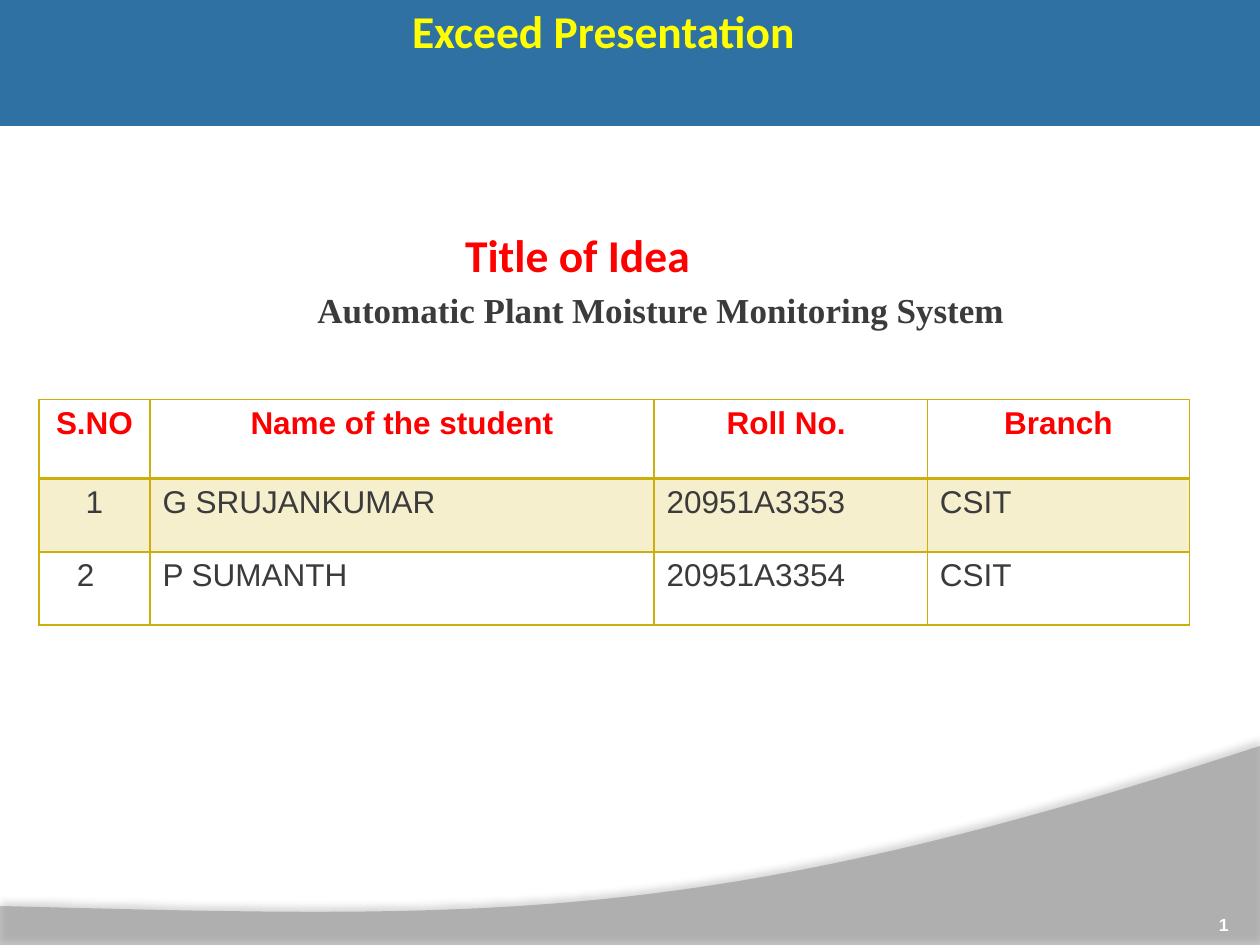
import pptx
import pptx.util
import pptx.dml.color
import pptx.enum.shapes
import pptx.enum.text
import pptx.oxml

Inches = pptx.util.Inches
Pt = pptx.util.Pt
Align = pptx.enum.text.PP_ALIGN
Anchor = pptx.enum.text.MSO_ANCHOR
NAMESPACE = 'xmlns:a="http://schemas.openxmlformats.org/drawingml/2006/main"'
RED, GOLD, DARK, WHITE = "FF0000", "CCAF0A", "3B3B3B", "FFFFFF"


def color(value):
    return pptx.dml.color.RGBColor.from_string(value)


def element(xml):
    return pptx.oxml.parse_xml(xml.replace(">", f" {NAMESPACE}>", 1))


class SlideBuilder:
    def __init__(self, slide):
        self.slide = slide

    def fill(self, shape, value):
        shape.shadow.inherit = False
        shape.fill.solid()
        shape.fill.fore_color.rgb = color(value)
        shape.line.fill.background()

    def style(self, paragraph, size, font, value, bold, align):
        paragraph.alignment = align
        paragraph.font.size = Pt(size)
        paragraph.font.name = font
        paragraph.font.color.rgb = color(value)
        paragraph.font.bold = bold

    def rectangle(self, left, top, width, height, value):
        kind = pptx.enum.shapes.MSO_SHAPE.RECTANGLE
        shape = self.slide.shapes.add_shape(
            kind, Inches(left), Inches(top), Inches(width), Inches(height))
        self.fill(shape, value)

    def wave(self, corners, curve, value, opacity, steps=60):
        points = list(corners)
        for step in range(1, steps + 1):
            t = step / steps
            weights = ((1 - t) ** 3, 3 * t * (1 - t) ** 2, 3 * t * t * (1 - t), t ** 3)
            points.append(tuple(
                sum(weight * point[axis] for weight, point in zip(weights, curve))
                for axis in (0, 1)))
        points = [(Inches(x), Inches(y)) for x, y in points]
        builder = self.slide.shapes.build_freeform(*points[0])
        builder.add_line_segments(points[1:], close=True)
        shape = builder.convert_to_shape()
        self.fill(shape, value)
        properties = shape._element.spPr
        properties.find(".//{*}srgbClr").append(
            element(f'<a:alpha val="{opacity * 1000}"></a:alpha>'))
        properties.find("{*}effectLst").append(element(
            f'<a:outerShdw blurRad="{Pt(4)}" dist="{Pt(3.5)}" dir="16200000">'
            '<a:srgbClr val="000000"><a:alpha val="35000"/></a:srgbClr></a:outerShdw>'))

    def set_text(self, shape, text, size, font, value, align, anchor=Anchor.TOP, wrap=True):
        frame = shape.text_frame
        frame.text = text
        frame.word_wrap = wrap
        frame.vertical_anchor = anchor
        self.style(frame.paragraphs[0], size, font, value, True, align)

    def title(self, left, top, width, height, *text_style):
        shape = self.slide.shapes.title
        shape.left, shape.top = Inches(left), Inches(top)
        shape.width, shape.height = Inches(width), Inches(height)
        self.set_text(shape, *text_style)

    def text(self, left, top, width, height, *text_style, margin=None, **options):
        shape = self.slide.shapes.add_textbox(
            Inches(left), Inches(top), Inches(width), Inches(height))
        if margin is not None:
            frame = shape.text_frame
            frame.margin_left = frame.margin_right = Inches(margin)
            frame.margin_top = frame.margin_bottom = Inches(margin)
        self.set_text(shape, *text_style, **options)

    def border(self, cell, heavy_sides):
        properties = cell._tc.get_or_add_tcPr()
        for index, side in enumerate("LRTB"):
            width = Pt(2 if side in heavy_sides else 1)
            properties.insert(index, element(
                f'<a:ln{side} w="{width}"><a:solidFill><a:srgbClr val="{GOLD}"/>'
                f'</a:solidFill></a:ln{side}>'))

    def table(self, left, top, widths, heights, rows):
        table = self.slide.shapes.add_table(
            len(rows), len(widths), Inches(left), Inches(top),
            Inches(sum(widths)), Inches(sum(heights))).table
        for column, width in zip(table.columns, widths):
            column.width = Inches(width)
        for row, height in zip(table.rows, heights):
            row.height = Inches(height)
        for row_index, values in enumerate(rows):
            header = row_index == 0
            for column_index, value in enumerate(values):
                cell = table.cell(row_index, column_index)
                cell.text = value
                cell.fill.solid()
                cell.fill.fore_color.rgb = color("F5EFCE" if row_index % 2 else WHITE)
                centered = header or column_index == 0
                self.style(cell.text_frame.paragraphs[0], 18, "Arial",
                           RED if header else DARK, header,
                           Align.CENTER if centered else Align.LEFT)
                self.border(cell, {0: "B", 1: "T"}.get(row_index, ""))
        return table


presentation = pptx.Presentation()
presentation.slide_width = Inches(10)
presentation.slide_height = Inches(7.5)
builder = SlideBuilder(presentation.slides.add_slide(presentation.slide_layouts[5]))

builder.wave([(0, 7.19), (0, 7.51), (10, 7.51), (10, 5.92)],
             [(10, 5.92), (5.59, 7.36), (3.91, 7.29), (0, 7.19)], "7F7F7F", 45)
builder.rectangle(0, 0, 10, 1, "2F71A2")
title_element = builder.slide.shapes.title._element
title_element.getparent().append(title_element)
builder.title(0.25, -0.03, 9.08, 1.01,
              "Exceed Presentation", 26, "Calibri", "FFFF00", Align.CENTER)
builder.text(8.92, 7.02, 0.83, 0.4, "1", 10, "Arial", WHITE, Align.RIGHT,
             anchor=Anchor.BOTTOM, margin=0)
builder.text(3.58, 1.75, 2.09, 0.54, "Title of Idea ", 26, "Calibri", RED,
             Align.CENTER, wrap=False)
students = builder.table(0.31, 3.17, [0.88, 4, 2.17, 2.08], [0.63, 0.58, 0.58], [
    ["S.NO", "Name of the student", "Roll No. ", "Branch"],
    ["1", "G SRUJANKUMAR", "20951A3353", "CSIT"],
    ["2", "P SUMANTH", "20951A3354", "CSIT"],
])
students.cell(2, 0).margin_right = Inches(0.24)
builder.text(2.42, 2.24, 5.83, 0.44, "Automatic Plant Moisture Monitoring System",
             20, "Times New Roman", DARK, Align.JUSTIFY)

presentation.save("out.pptx")
